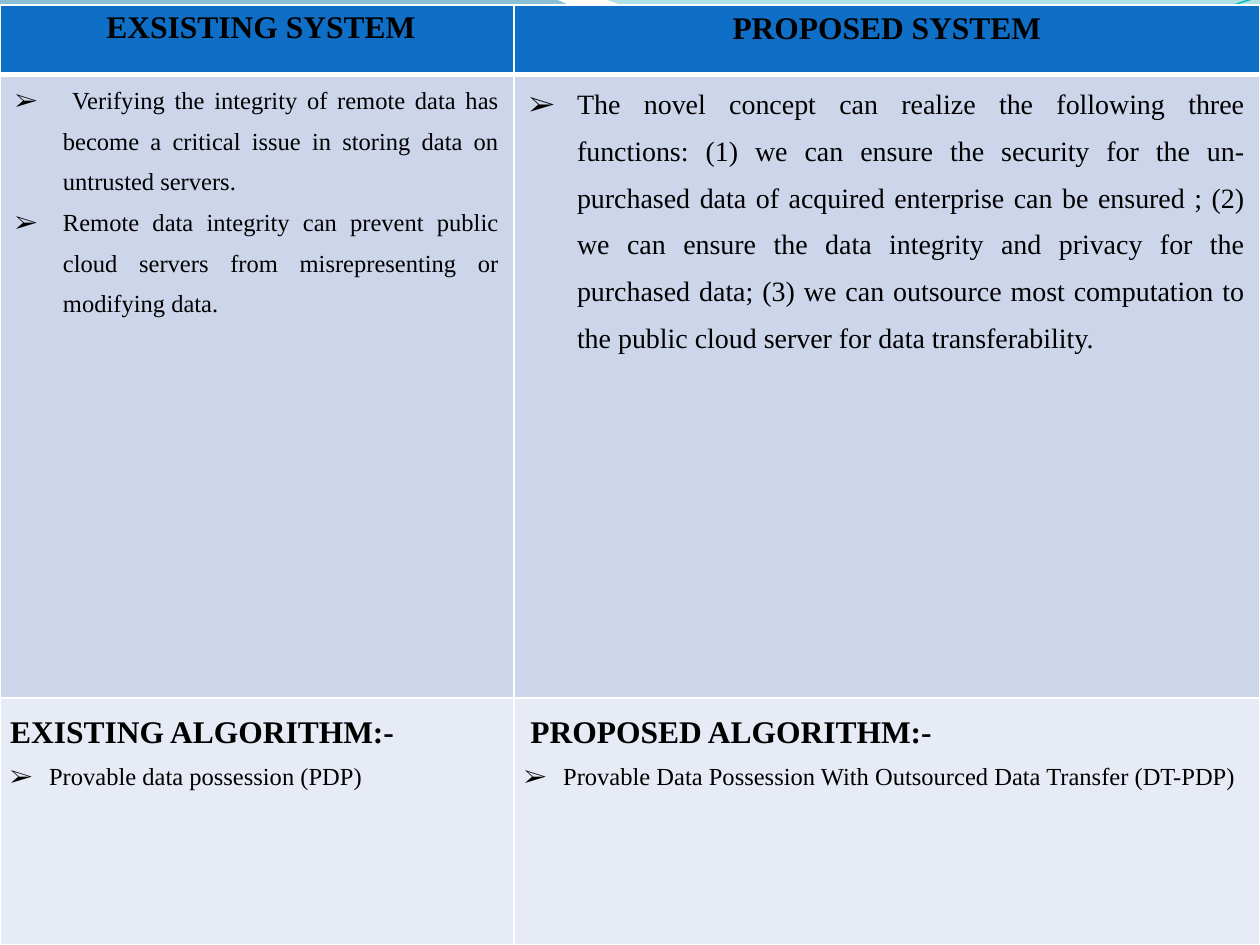
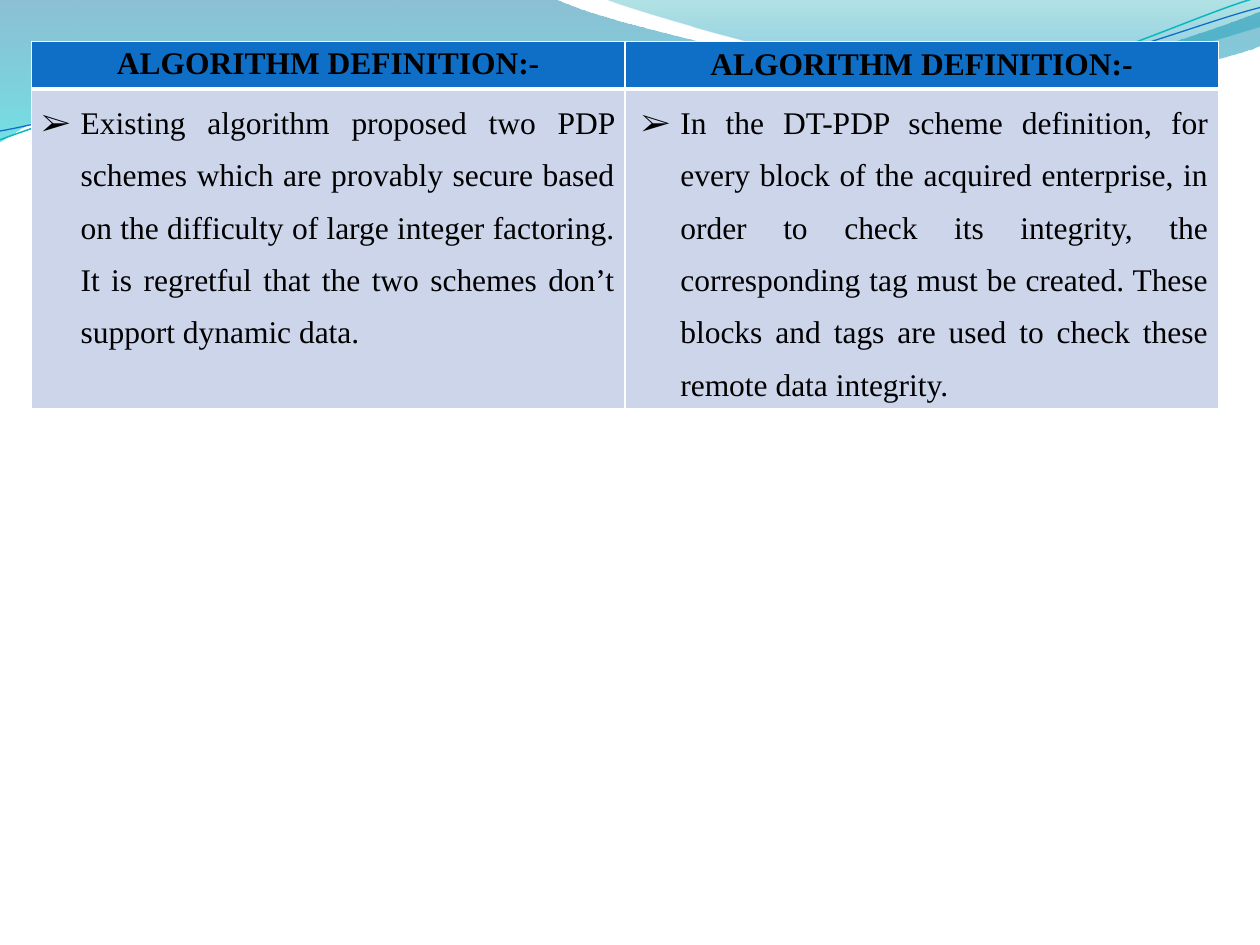
from lxml.etree import SubElement
from pptx import Presentation
from pptx.dml.color import RGBColor
from pptx.enum.text import PP_ALIGN
from pptx.oxml.ns import qn
from pptx.util import Inches, Pt

COLORS = {
    "header": "0F6FC6", "body": "CCD5EA", "footer": "E7EBF5",
    "border": "FFFFFF", "text": "000000",
    "teal_line": "0AB8BF", "blue_line": "0F6FC6",
    "deep": "0074A1", "cyan": "00C6CF", "green": "00A1A9", "sky": "008BBF",
}
FONT = "Times New Roman"
BULLET = "➢"

# Gradient stops are (position, colour, opacity percent). A segment is a
# straight line when it holds one point and a Bezier curve when it holds three.
BANDS = [
    {"stops": [(0, "deep", 45), (1, "cyan", 55)],
     "start": (0, 0),
     "segments": [
         [(4.4, -0.01)],
         [(4.76, 0.17), (6.64, 0.63), (7.58, 0.63)],
         [(8.53, 0.63), (9.58, 0.26), (10, 0.09)],
         [(10.01, 0.36)],
         [(9.83, 0.44), (8.7, 0.76), (7.46, 0.75)],
         [(6.22, 0.75), (3.82, 0.28), (2.57, 0.34)],
         [(1.29, 0.36), (0.46, 0.83), (-0.01, 1.13)]]},
    {"stops": [(0, "green", 30), (0.8, "sky", 45)],
     "start": (4.79, -0.01),
     "segments": [
         [(5.09, 0.11), (6.82, 0.62), (7.69, 0.65)],
         [(8.56, 0.69), (9.61, 0.32), (10, 0.21)],
         [(10, 0)]]},
]
WAVES = [
    {"color": "teal_line", "width": 0.85, "start": (0, 1.11),
     "segments": [
         [(0.48, 0.93), (1.58, 0.57), (2.77, 0.52)],
         [(3.95, 0.47), (5.93, 0.89), (7.13, 0.8)],
         [(8.33, 0.71), (9.38, 0.15), (9.98, -0.02)]]},
    {"color": "blue_line", "width": 0.75, "start": (0, 1.04),
     "segments": [
         [(0.47, 0.96), (1.64, 0.61), (2.83, 0.56)],
         [(4.03, 0.51), (5.97, 0.84), (7.17, 0.75)],
         [(8.36, 0.67), (9.41, 0.21), (10, 0.06)]]},
]

# Paragraph styles: size, bold, alignment, line spacing, left indent, hang.
HEADING = {"size": 18, "bold": True, "align": PP_ALIGN.CENTER, "spacing": 1.15}
HEADING_PLAIN = HEADING | {"spacing": 1.0}
SUBHEAD = {"size": 18, "bold": True, "align": PP_ALIGN.JUSTIFY, "spacing": 1.5}
SUBHEAD_INDENTED = SUBHEAD | {"left": 0.05}
POINT = {"size": 14, "bold": False, "align": PP_ALIGN.JUSTIFY, "spacing": 1.5,
         "left": 0.38, "hang": 0.38}
POINT_LARGE = POINT | {"size": 16}
POINT_NARROW = POINT | {"left": 0.31, "hang": 0.31}
DEFINITION = POINT_NARROW | {"size": 18}
DEFINITION_INDENTED = DEFINITION | {"left": 0.36}

# Cell insets: (horizontal, vertical).
WIDE, NARROW, STANDARD = (0.12, 0), (0.08, 0), (0.1, 0.05)

# Each row: height, fill, then one (insets, paragraphs) pair per column.
TABLES = [
    {"at": (0, 0.04), "columns": [4.08, 5.92], "rows": [
        (0.55, "header", [
            (WIDE, [(" EXSISTING SYSTEM", HEADING)]),
            (STANDARD, [("PROPOSED SYSTEM", HEADING_PLAIN)])]),
        (4.95, "body", [
            (WIDE, [
                (" Verifying the integrity of remote data has become a critical "
                 "issue in storing data on untrusted servers.", POINT),
                ("Remote data integrity can prevent public cloud servers from "
                 "misrepresenting or modifying data.", POINT)]),
            (WIDE, [
                ("The novel concept can realize the following three functions: "
                 "(1) we can ensure the security for the un-purchased data of "
                 "acquired enterprise can be ensured ; (2) we can ensure the data "
                 "integrity and privacy for the purchased data; (3) we can "
                 "outsource most computation to the public cloud server for data "
                 "transferability.", POINT_LARGE)])]),
        (1.96, "footer", [
            (NARROW, [
                ("EXISTING ALGORITHM:-", SUBHEAD),
                ("Provable data possession (PDP)", POINT_NARROW)]),
            (NARROW, [
                ("PROPOSED ALGORITHM:-", SUBHEAD_INDENTED),
                ("Provable Data Possession With Outsourced Data Transfer (DT-PDP)",
                 POINT_NARROW)])]),
    ]},
    {"at": (0.25, 0.33), "columns": [4.71, 4.71], "rows": [
        (0.2, "header", [
            (WIDE, [("ALGORITHM DEFINITION:-", HEADING)]),
            (STANDARD, [("ALGORITHM DEFINITION:-", HEADING_PLAIN)])]),
        (2.54, "body", [
            (NARROW, [
                ("Existing algorithm proposed two PDP schemes which are provably "
                 "secure based on the difficulty of large integer factoring. It is "
                 "regretful that the two schemes don’t support dynamic data.",
                 DEFINITION)]),
            (NARROW, [
                ("In the DT-PDP scheme definition, for every block of the acquired "
                 "enterprise, in order to check its integrity, the corresponding "
                 "tag must be created. These blocks and tags are used to check "
                 "these remote data integrity.", DEFINITION_INDENTED)])]),
    ]},
]


def color(name):
    return RGBColor.from_string(COLORS[name])


def add_outline(page, start, segments, close):
    """Draw all points as lines, then merge each group of three into a curve."""
    points = [(Inches(x), Inches(y)) for segment in segments for x, y in segment]
    builder = page.shapes.build_freeform(Inches(start[0]), Inches(start[1]))
    builder.add_line_segments(points, close=close)
    outline = builder.convert_to_shape()
    outline.shadow.inherit = False
    lines = iter(list(outline.element.iter(qn("a:lnTo"))))
    for segment in segments:
        group = [next(lines) for _ in segment]
        if len(group) == 3:
            curve = group[0]
            merged = curve.getparent().makeelement(qn("a:cubicBezTo"))
            curve.addprevious(merged)
            for line in group:
                merged.append(line[0])
                line.getparent().remove(line)
    return outline


def add_band(page, band):
    shape = add_outline(page, band["start"], band["segments"], True)
    shape.line.fill.background()
    shape.fill.gradient()
    shape.fill.gradient_angle = 270
    for stop, (position, name, _) in zip(shape.fill.gradient_stops, band["stops"]):
        stop.position = position
        stop.color.rgb = color(name)
    tints = shape.element.iter(qn("a:srgbClr"))
    for tint, (_, _, opacity) in zip(tints, band["stops"]):
        SubElement(tint, qn("a:alpha"), val=str(opacity * 1000))
    return shape


def add_wave(page, wave):
    shape = add_outline(page, wave["start"], wave["segments"], False)
    shape.fill.background()
    shape.line.color.rgb = color(wave["color"])
    shape.line.width = Pt(wave["width"])
    return shape


def add_backdrop(deck, page):
    """Draw the shared bands and waves and hand them to the slide master."""
    shapes = [add_band(page, band) for band in BANDS]
    shapes += [add_wave(page, wave) for wave in WAVES]
    master_tree = deck.slide_master.shapes._spTree
    for index, shape in enumerate(shapes):
        shape.element.nvSpPr.cNvPr.set("id", str(100 + index))
        master_tree.append(shape.element)


def add_borders(cell, widths):
    properties = cell._tc.get_or_add_tcPr()
    for side, width in widths.items():
        line = SubElement(properties, qn(f"a:ln{side}"), w=str(Pt(width)))
        fill = SubElement(line, qn("a:solidFill"))
        SubElement(fill, qn("a:srgbClr"), val=COLORS["border"])


def write_paragraph(para, text, style):
    properties = para._p.get_or_add_pPr()
    hang = style.get("hang", 0)
    properties.set("marL", str(Inches(style.get("left", 0))))
    properties.set("indent", str(-Inches(hang)))
    if hang:
        SubElement(properties, qn("a:buFont"), typeface=FONT)
        SubElement(properties, qn("a:buChar"), char=BULLET)
    para.alignment = style["align"]
    para.line_spacing = style["spacing"]
    span = para.add_run()
    span.text = text
    font_values = {"name": FONT, "size": Pt(style["size"]), "bold": style["bold"]}
    for name, value in font_values.items():
        setattr(span.font, name, value)
    span.font.color.rgb = color("text")


def fill_cell(cell, row_index, fill_name, insets, paragraphs):
    add_borders(cell, {"L": 1, "R": 1,
                       "T": 3 if row_index == 1 else 1,
                       "B": 3 if row_index == 0 else 1})
    cell.fill.solid()
    cell.fill.fore_color.rgb = color(fill_name)
    horizontal, vertical = map(Inches, insets)
    cell.margin_left = cell.margin_right = horizontal
    cell.margin_top = cell.margin_bottom = vertical
    frame = cell.text_frame
    for index, (text, style) in enumerate(paragraphs):
        para = frame.add_paragraph() if index else frame.paragraphs[0]
        write_paragraph(para, text, style)


def add_comparison(page, content):
    rows, columns = content["rows"], content["columns"]
    left, top = content["at"]
    table = page.shapes.add_table(
        len(rows), len(columns), Inches(left), Inches(top),
        Inches(sum(columns)), Inches(sum(row[0] for row in rows))).table
    table.first_row = table.horz_banding = False
    for column, width in zip(table.columns, columns):
        column.width = Inches(width)
    for row_index, (height, fill_name, cells) in enumerate(rows):
        table.rows[row_index].height = Inches(height)
        for column_index, (insets, paragraphs) in enumerate(cells):
            fill_cell(table.cell(row_index, column_index), row_index,
                      fill_name, insets, paragraphs)


def main():
    deck = Presentation()
    deck.slide_width, deck.slide_height = Inches(10), Inches(7.5)
    pages = [deck.slides.add_slide(deck.slide_layouts[6]) for _ in TABLES]
    add_backdrop(deck, pages[0])
    for page, content in zip(pages, TABLES):
        add_comparison(page, content)
    deck.save("out.pptx")


if __name__ == "__main__":
    main()
